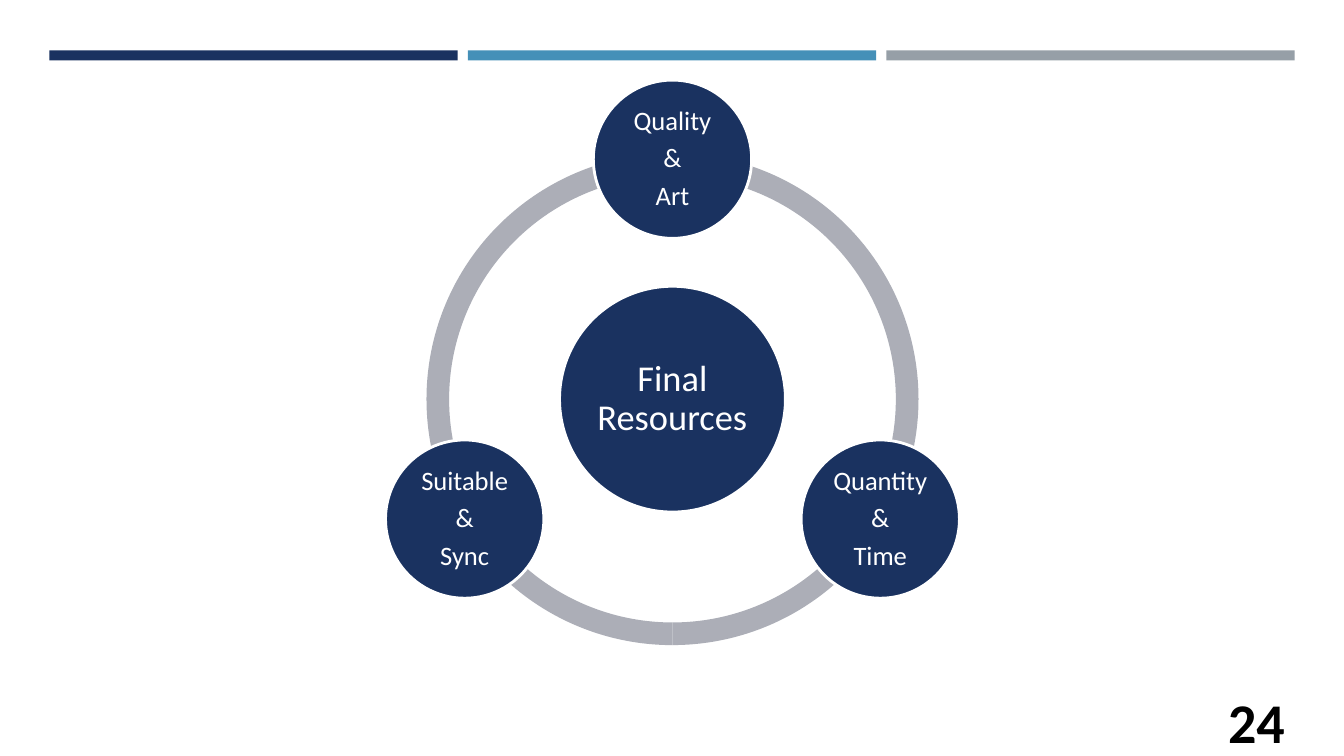
from math import cos, radians, sin

from pptx import Presentation
from pptx.dml.color import RGBColor
from pptx.enum.shapes import MSO_SHAPE
from pptx.enum.text import MSO_ANCHOR, PP_ALIGN
from pptx.util import Inches, Pt

# Content
HUB = ["Final Resources"]
SATELLITES = [  # angle clockwise from the right, lines of text
    (-90, ["Quality", "&", "Art"]),
    (30, ["Quantity", "&", "Time"]),
    (150, ["Suitable", "&", "Sync"]),
]
ARCS = [(90, 162), (18, 90), (162, 18)]  # start and end angles
PAGE = ["24"]

# Style and layout, in inches
NAVY, BLUE, GREY, RING = "1A3260", "4590B8", "969FA7", "ACAEB7"
WHITE, BLACK = "FFFFFF", "000000"
CX, CY = 6.67, 3.96
RING_D, HUB_D, SATELLITE_D, ORBIT = 4.88, 2.24, 1.57, 2.38
BAR_LEFT, BAR_TOP, BAR_W, BAR_H, BAR_STEP = 0.49, 0.5, 4.05, 0.1, 4.15


def color(value):
    return RGBColor.from_string(value)


def add_shape(kind, x, y, w, h, fill, line=None):
    s = slide.shapes.add_shape(kind, Inches(x), Inches(y), Inches(w), Inches(h))
    s.shadow.inherit = False
    s.fill.solid()
    s.fill.fore_color.rgb = color(fill)
    if line:
        s.line.color.rgb = color(line)
        s.line.width = Pt(2)
    else:
        s.line.fill.background()
    return s


def write(s, lines, size, fill=WHITE, bold=False, align=PP_ALIGN.CENTER,
          inset=0.03, spacing=1.0, after=0):
    tf = s.text_frame
    tf.word_wrap = True
    tf.vertical_anchor = MSO_ANCHOR.MIDDLE
    tf.margin_left = tf.margin_right = tf.margin_top = tf.margin_bottom = Inches(inset)
    for i, line in enumerate(lines):
        p = tf.add_paragraph() if i else tf.paragraphs[0]
        p.alignment = align
        p.line_spacing = spacing
        p.space_after = Pt(after)
        r = p.add_run()
        r.text = line
        r.font.name = "Calibri"
        r.font.size = Pt(size)
        r.font.bold = bold
        r.font.color.rgb = color(fill)


def add_disc(x, y, d, lines, size, inset):
    s = add_shape(MSO_SHAPE.OVAL, x - d / 2, y - d / 2, d, d, NAVY, WHITE)
    write(s, lines, size, inset=inset, spacing=0.9, after=round(size / 3, 1))


prs = Presentation()
prs.slide_width, prs.slide_height = Inches(13.33), Inches(7.5)
slide = prs.slides.add_slide(prs.slide_layouts[6])

# Three bars along the top
for i, fill in enumerate([NAVY, BLUE, GREY]):
    add_shape(MSO_SHAPE.RECTANGLE, BAR_LEFT + i * BAR_STEP, BAR_TOP, BAR_W, BAR_H, fill)

# Ring of three arcs; angle adjustments count 0.6 per degree
for start, end in ARCS:
    s = add_shape(MSO_SHAPE.BLOCK_ARC, CX - RING_D / 2, CY - RING_D / 2,
                  RING_D, RING_D, RING)
    for i, value in enumerate([start * 0.6, end * 0.6, 0.046]):
        s.adjustments[i] = value

# Hub and satellites
add_disc(CX, CY, HUB_D, HUB, 26, 0.04)
for angle, lines in SATELLITES:
    a = radians(angle)
    add_disc(CX + ORBIT * cos(a), CY + ORBIT * sin(a), SATELLITE_D, lines, 19, 0.03)

# Page number
box = slide.shapes.add_textbox(Inches(11.69), Inches(6.95), Inches(1.15), Inches(0.4))
write(box, PAGE, 40, fill=BLACK, bold=True, align=PP_ALIGN.RIGHT, inset=0.1)

prs.save("out.pptx")
